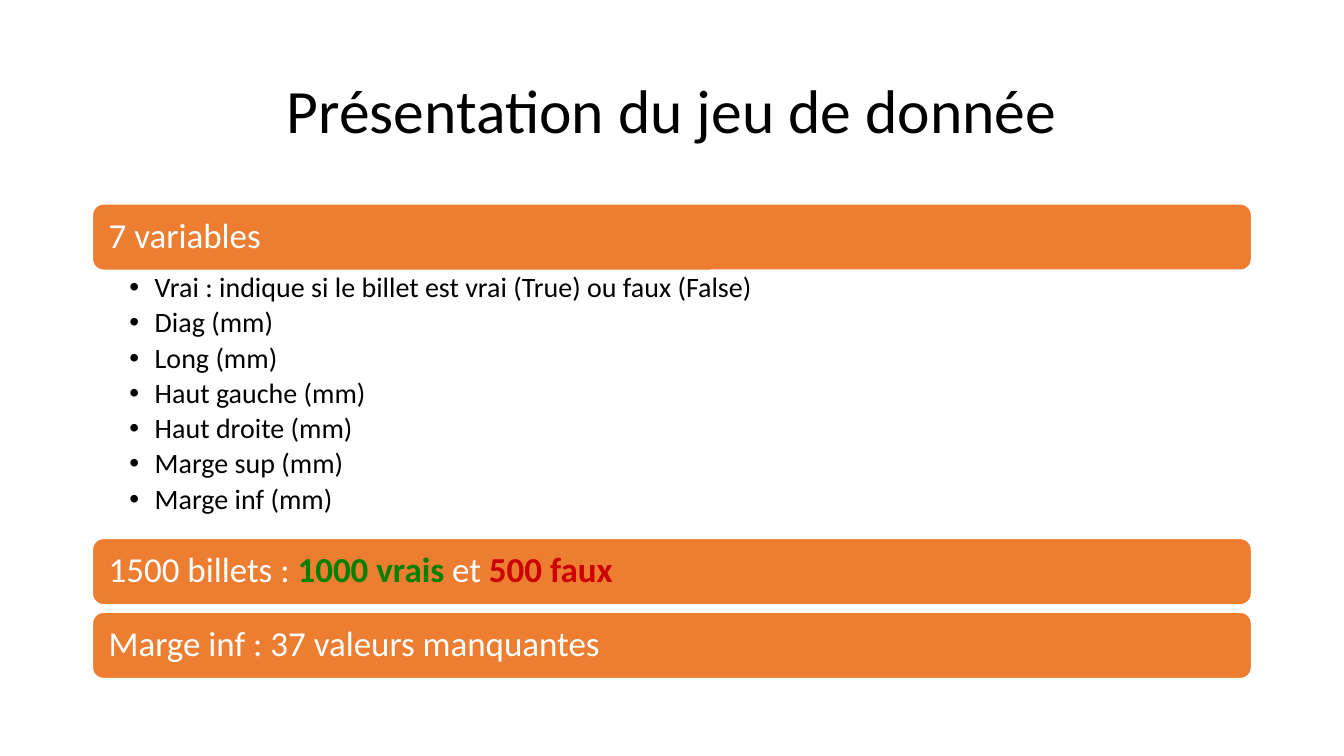
"""Build the slide presenting the banknote data set."""
from lxml import etree
from pptx import Presentation
from pptx import util as u
from pptx.dml.color import RGBColor
from pptx.enum import shapes, text
from pptx.oxml.ns import qn

TITLE = "Présentation du jeu de donnée"
VARIABLES = [
    "Vrai : indique si le billet est vrai (True) ou faux (False)",
    "Diag (mm)",
    "Long (mm)",
    "Haut gauche (mm)",
    "Haut droite (mm)",
    "Marge sup (mm)",
    "Marge inf (mm)",
]
SECTIONS = [
    ([("7 variables", "light")], VARIABLES),
    ([("1500 billets : ", "light"), ("1000 vrais ", "true"),
      ("et ", "light"), ("500 faux", "false")], []),
    ([("Marge inf : 37 valeurs manquantes", "light")], []),
]

THEME = {
    "font": "Calibri",
    "sizes": {"title": 44, "bar": 25, "item": 20},
    "colors": {"dark": "000000", "light": "FFFFFF", "bar": "ED7D31",
               "true": "008000", "false": "CC0000"},
}
LEFT, WIDTH = 2.33, 29.21
TITLE_TOP, TITLE_H = 1.01, 3.68
BARS_TOP, BAR_H, BAR_GAP, LIST_H = 5.14, 1.67, 0.19, 6.76
INDENT = u.Cm(0.64)


def color(name):
    return RGBColor.from_string(THEME["colors"][name])


def set_frame(tf, insets, anchor):
    tf.word_wrap = True
    tf.vertical_anchor = anchor
    tf.margin_left, tf.margin_top, tf.margin_right, tf.margin_bottom = map(u.Cm, insets)


def write(p, runs, size, align=text.PP_ALIGN.LEFT):
    p.alignment = align
    p.line_spacing = 0.9
    for words, tint in runs:
        r = p.add_run()
        r.text = words
        r.font.name = THEME["font"]
        r.font.size = u.Pt(THEME["sizes"][size])
        r.font.bold = tint in ("true", "false")
        r.font.color.rgb = color(tint)


def add_box(s, top, height, insets, anchor):
    sp = s.shapes.add_textbox(u.Cm(LEFT), u.Cm(top), u.Cm(WIDTH), u.Cm(height))
    set_frame(sp.text_frame, insets, anchor)
    return sp.text_frame


def add_bar(s, top, runs):
    sp = s.shapes.add_shape(shapes.MSO_SHAPE.ROUNDED_RECTANGLE,
                            u.Cm(LEFT), u.Cm(top), u.Cm(WIDTH), u.Cm(BAR_H))
    sp.shadow.inherit = False
    sp.fill.solid()
    sp.fill.fore_color.rgb = color("bar")
    sp.line.color.rgb = color("light")
    sp.line.width = u.Pt(1)
    set_frame(sp.text_frame, (0.33, 0.25, 0.33, 0.25), text.MSO_ANCHOR.MIDDLE)
    write(sp.text_frame.paragraphs[0], runs, "bar")


def add_list(s, top, items):
    tf = add_box(s, top, LIST_H, (0.93, 0.08, 0.48, 0.08), text.MSO_ANCHOR.TOP)
    for i, item in enumerate(items):
        p = tf.add_paragraph() if i else tf.paragraphs[0]
        write(p, [(item, "dark")], "item")
        p.space_after = u.Pt(3.6)
        pPr = p._p.get_or_add_pPr()
        pPr.set("marL", str(INDENT))
        pPr.set("indent", str(-INDENT))
        etree.SubElement(pPr, qn("a:buFont"), typeface="Arial")
        etree.SubElement(pPr, qn("a:buChar"), char="•")


def main():
    prs = Presentation()
    prs.slide_width, prs.slide_height = u.Cm(33.87), u.Cm(19.05)
    s = prs.slides.add_slide(prs.slide_layouts[6])

    tf = add_box(s, TITLE_TOP, TITLE_H, (0.25, 0.13, 0.25, 0.13), text.MSO_ANCHOR.MIDDLE)
    write(tf.paragraphs[0], [(TITLE, "dark")], "title", text.PP_ALIGN.CENTER)

    top = BARS_TOP
    for runs, items in SECTIONS:
        add_bar(s, top, runs)
        top += BAR_H
        if items:
            add_list(s, top, items)
        top += LIST_H if items else BAR_GAP

    prs.save("out.pptx")


if __name__ == "__main__":
    main()
